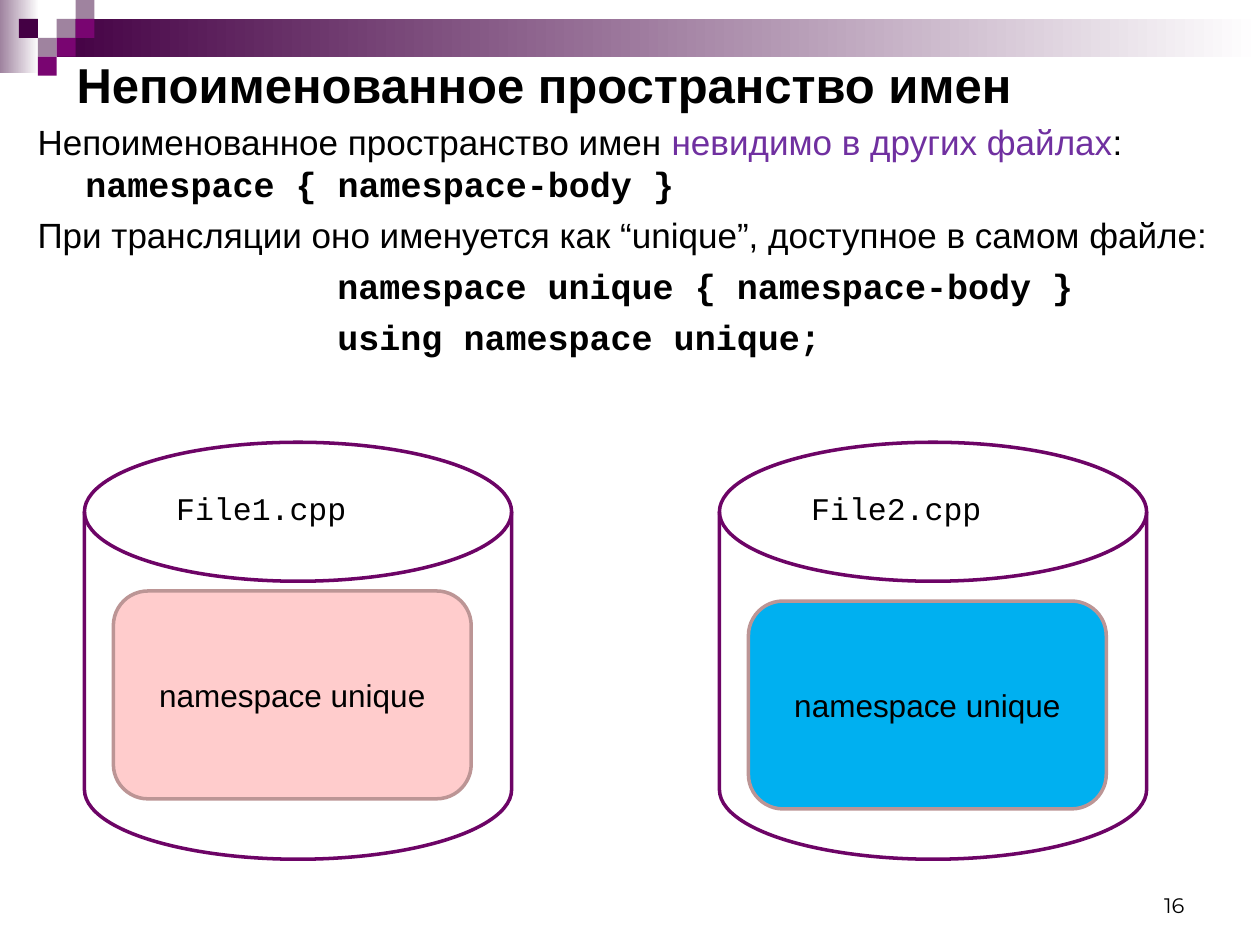
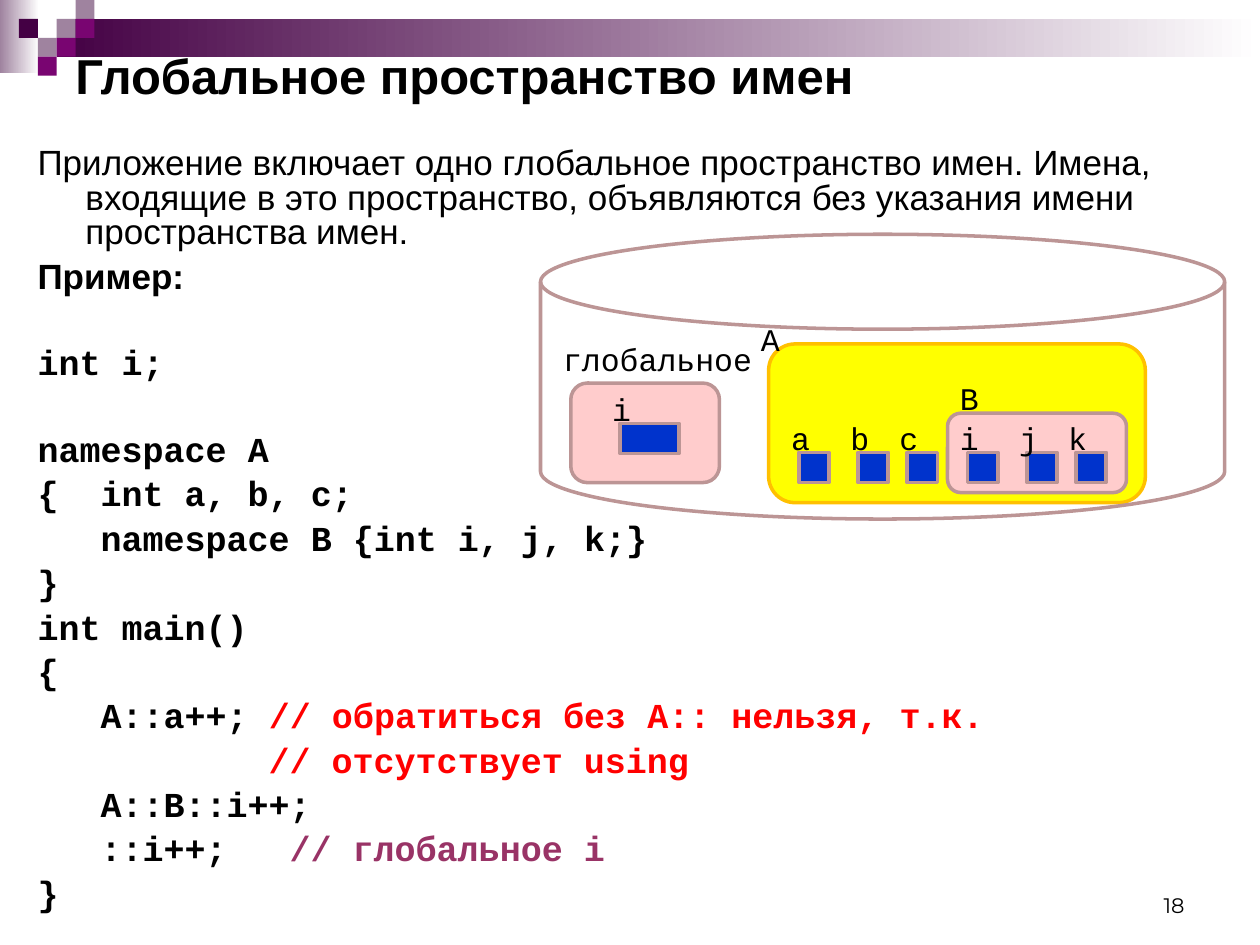
from lxml import etree
from pptx import Presentation
from pptx.dml.color import RGBColor
from pptx.enum.shapes import MSO_SHAPE
from pptx.enum.text import MSO_ANCHOR, PP_ALIGN
from pptx.oxml.ns import qn
from pptx.util import Inches, Pt

RECT = MSO_SHAPE.RECTANGLE
DISK = MSO_SHAPE.FLOWCHART_MAGNETIC_DISK
ROUNDED = MSO_SHAPE.FLOWCHART_ALTERNATE_PROCESS
TOP, MIDDLE, BOTTOM = MSO_ANCHOR.TOP, MSO_ANCHOR.MIDDLE, MSO_ANCHOR.BOTTOM
LEFT, CENTER, RIGHT = PP_ALIGN.LEFT, PP_ALIGN.CENTER, PP_ALIGN.RIGHT

BLACK = RGBColor(0x00, 0x00, 0x00)
WHITE = RGBColor(0xFF, 0xFF, 0xFF)
DARK_PLUM = RGBColor(0x44, 0x00, 0x44)
PLUM = RGBColor(0x79, 0x05, 0x71)
MAUVE = RGBColor(0x9F, 0x83, 0x9F)
DISK_LINE = RGBColor(0x6D, 0x04, 0x66)
PURPLE = RGBColor(0x70, 0x30, 0xA0)
PINK = RGBColor(0xFF, 0xCC, 0xCC)
ROSE = RGBColor(0xBC, 0x95, 0x95)
SKY = RGBColor(0x00, 0xB0, 0xF0)
YELLOW = RGBColor(0xFF, 0xFF, 0x00)
AMBER = RGBColor(0xFF, 0xC0, 0x00)
BLUE = RGBColor(0x00, 0x33, 0xCC)
RED = RGBColor(0xFF, 0x00, 0x00)
BERRY = RGBColor(0x99, 0x33, 0x66)

SANS, MONO, NUMBER = "Arial", "Courier New", "Montserrat"
CELL = 0.15
CHAR = 1 / 6
HANG = 0.38


def add_run(p, text, size, font=SANS, color=BLACK, bold=False):
    r = p.add_run()
    r.text = text
    r.font.size = Pt(size)
    r.font.name = font
    r.font.bold = bold
    r.font.color.rgb = color


def add_box(slide, kind, x, y, w, h, fill=None, line=None):
    sp = slide.shapes.add_shape(kind, Inches(x), Inches(y), Inches(w), Inches(h))
    sp.shadow.inherit = False
    if fill is None:
        sp.fill.background()
    else:
        sp.fill.solid()
        sp.fill.fore_color.rgb = fill
    if line is None:
        sp.line.fill.background()
    else:
        sp.line.color.rgb = line
        sp.line.width = Pt(2)
    return sp


def add_fade(slide, x, y, w, h, color):
    fill = add_box(slide, RECT, x, y, w, h).fill
    fill.gradient()
    fill.gradient_angle = 0
    for stop, rgb, position in zip(fill.gradient_stops, (color, WHITE), (0, 1)):
        stop.color.rgb = rgb
        stop.position = position


def add_text_frame(slide, x, y, w, h, anchor=TOP):
    tf = slide.shapes.add_textbox(Inches(x), Inches(y), Inches(w), Inches(h)).text_frame
    tf.word_wrap = True
    tf.vertical_anchor = anchor
    return tf


def add_label(slide, x, y, w, h, text, size, font, bold=False, anchor=TOP, align=LEFT):
    p = add_text_frame(slide, x, y, w, h, anchor).paragraphs[0]
    p.alignment = align
    add_run(p, text, size, font, bold=bold)


def add_paragraph(tf, runs, before, left=0, first=0, tab=None, spacing=None):
    p = tf.paragraphs[0] if not tf.paragraphs[0].runs else tf.add_paragraph()
    p.space_before = Pt(before)
    if spacing:
        p.line_spacing = spacing
    pPr = p._p.get_or_add_pPr()
    pPr.set("marL", str(Inches(left)))
    pPr.set("indent", str(Inches(first)))
    if tab:
        tabs = etree.SubElement(pPr, qn("a:tabLst"))
        etree.SubElement(tabs, qn("a:tab"), pos=str(Inches(tab)), algn="l")
    for text, font, color, bold in runs:
        add_run(p, text, 20, font, color, bold)
    return p


def add_frame(prs, title, title_box, number):
    slide = prs.slides.add_slide(prs.slide_layouts[6])
    add_fade(slide, 0, 0, 0.31, 0.58, MAUVE)
    add_fade(slide, 0.45, CELL, 9.55, 0.3, DARK_PLUM)
    for col, row, color in ((3, 1, MAUVE), (4, 0, MAUVE), (4, 1, PLUM), (2, 2, MAUVE),
                            (1, 1, DARK_PLUM), (3, 2, PLUM), (2, 3, PLUM)):
        add_box(slide, RECT, col * CELL, row * CELL, CELL, CELL, color)
    add_label(slide, 7.17, 6.83, 2.33, 0.5, number, 12, NUMBER, anchor=BOTTOM, align=RIGHT)
    add_label(slide, *title_box, title, 28, SANS, bold=True, anchor=MIDDLE)
    return slide


def add_file_disk(slide, x, y, name, fill, drop):
    add_box(slide, DISK, x, y, 3.39, 3.31, WHITE, DISK_LINE)
    add_label(slide, x + 0.63, y + 0.32, 2.13, 0.4, name, 18, MONO)
    sp = add_box(slide, ROUNDED, x + 0.23, y + drop, 2.84, 1.65, fill, ROSE)
    sp.text_frame.vertical_anchor = MIDDLE
    p = sp.text_frame.paragraphs[0]
    p.alignment = CENTER
    add_run(p, "namespace unique", 18)


def add_unnamed_text(slide, x, y, w, h):
    tf = add_text_frame(slide, x, y, w, h)
    p = add_paragraph(tf, [("Непоименованное пространство имен ", SANS, BLACK, False),
                           ("невидимо в других файлах", SANS, PURPLE, False),
                           (":", SANS, BLACK, False)], 5, HANG, -HANG)
    p.add_line_break()
    add_run(p, "namespace { namespace-body }", 20, MONO, bold=True)
    add_paragraph(tf, [("При трансляции оно именуется как “unique”, доступное в самом файле:",
                        SANS, BLACK, False)], 5, HANG, -HANG)
    for code in ("namespace unique { namespace-body }", "using namespace unique;"):
        add_paragraph(tf, [(code, MONO, BLACK, True)], 5, 2.38)


def add_global_text(slide, x, y, w, h):
    gap, blank, spacing = 5.4, 29.6, 0.83
    tf = add_text_frame(slide, x, y, w, h)
    intro = ("Приложение включает одно глобальное пространство имен. Имена, входящие в это "
             "пространство, объявляются без указания имени пространства имен.")
    for text, bold in ((intro, False), ("Пример:", True)):
        add_paragraph(tf, [(text, SANS, BLACK, bold)], gap, HANG, -HANG, spacing=spacing)
    code = (
        (0, blank, None, [("int i;", BLACK)]),
        (0, blank, None, [("namespace A", BLACK)]),
        (0, gap, 3, [("{\tint a, b, c;", BLACK)]),
        (3, gap, None, [("namespace B {int i, j, k;}", BLACK)]),
        (0, gap, None, [("}", BLACK)]),
        (0, gap, None, [("int main()", BLACK)]),
        (0, gap, None, [("{", BLACK)]),
        (3, gap, None, [("A::a++; ", BLACK), ("// обратиться без A:: нельзя, т.к.", RED)]),
        (11, gap, None, [("// отсутствует using", RED)]),
        (3, gap, None, [("A::B::i++;", BLACK)]),
        (3, gap, 12, [("::i++;\t", BLACK), ("// глобальное i", BERRY)]),
        (0, gap, None, [("}", BLACK)]),
    )
    for indent, before, tab, parts in code:
        runs = [(text, MONO, color, True) for text, color in parts]
        add_paragraph(tf, runs, before, first=indent * CHAR,
                      tab=tab and tab * CHAR, spacing=spacing)


def add_variable(slide, x, y, name, w=0.24):
    add_box(slide, RECT, x, y, w, 0.24, BLUE, ROSE)
    add_label(slide, x - 0.16, y - 0.31, 0.24, 0.4, name, 18, MONO)


def add_scope_disk(slide, x, y, w, h):
    add_box(slide, ROUNDED, x + 0.24, y + 1.18, 1.18, 0.79, PINK, ROSE)
    add_box(slide, ROUNDED, x + 1.81, y + 0.87, 2.99, 1.26, YELLOW, AMBER)
    add_box(slide, ROUNDED, x + 3.23, y + 1.42, 1.42, 0.63, PINK, ROSE)
    add_box(slide, DISK, x, y, w, h, line=ROSE)
    for name, dx, dy, width in (("глобальное", 0.08, 0.79, 1.89),
                                ("A", 1.65, 0.63, 0.47), ("B", 3.23, 1.1, 0.32)):
        add_label(slide, x + dx, y + dy, width, 0.4, name, 18, MONO)
    add_variable(slide, x + 0.63, y + 1.5, "i", 0.47)
    for group, dx in (("abc", 2.05), ("ijk", 3.39)):
        for name, step in zip(group, (0, 0.47, 0.86)):
            add_variable(slide, x + dx + step, y + 1.73, name)


def main():
    prs = Presentation()
    prs.slide_width, prs.slide_height = Inches(10), Inches(7.5)

    slide = add_frame(prs, "Непоименованное пространство имен", (0.51, 0.44, 9, 0.46), "16")
    add_unnamed_text(slide, 0.2, 0.91, 9.8, 6.38)
    add_file_disk(slide, 0.67, 3.51, "File1.cpp", PINK, 1.18)
    add_file_disk(slide, 5.71, 3.51, "File2.cpp", SKY, 1.26)

    slide = add_frame(prs, "Глобальное пространство имен", (0.5, 0.28, 9, 0.63), "18")
    add_global_text(slide, 0.2, 1.12, 9.8, 6.09)
    add_scope_disk(slide, 4.29, 1.86, 5.43, 2.26)

    prs.save("out.pptx")


if __name__ == "__main__":
    main()
